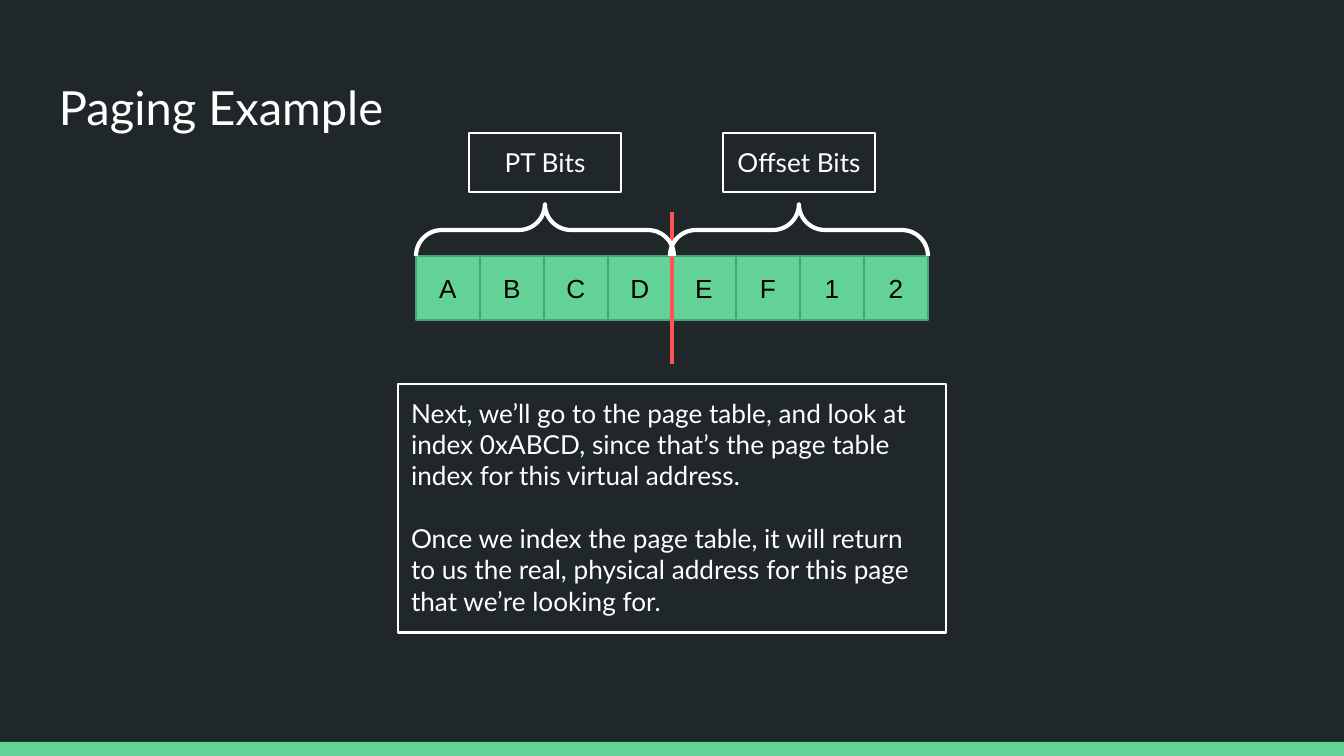
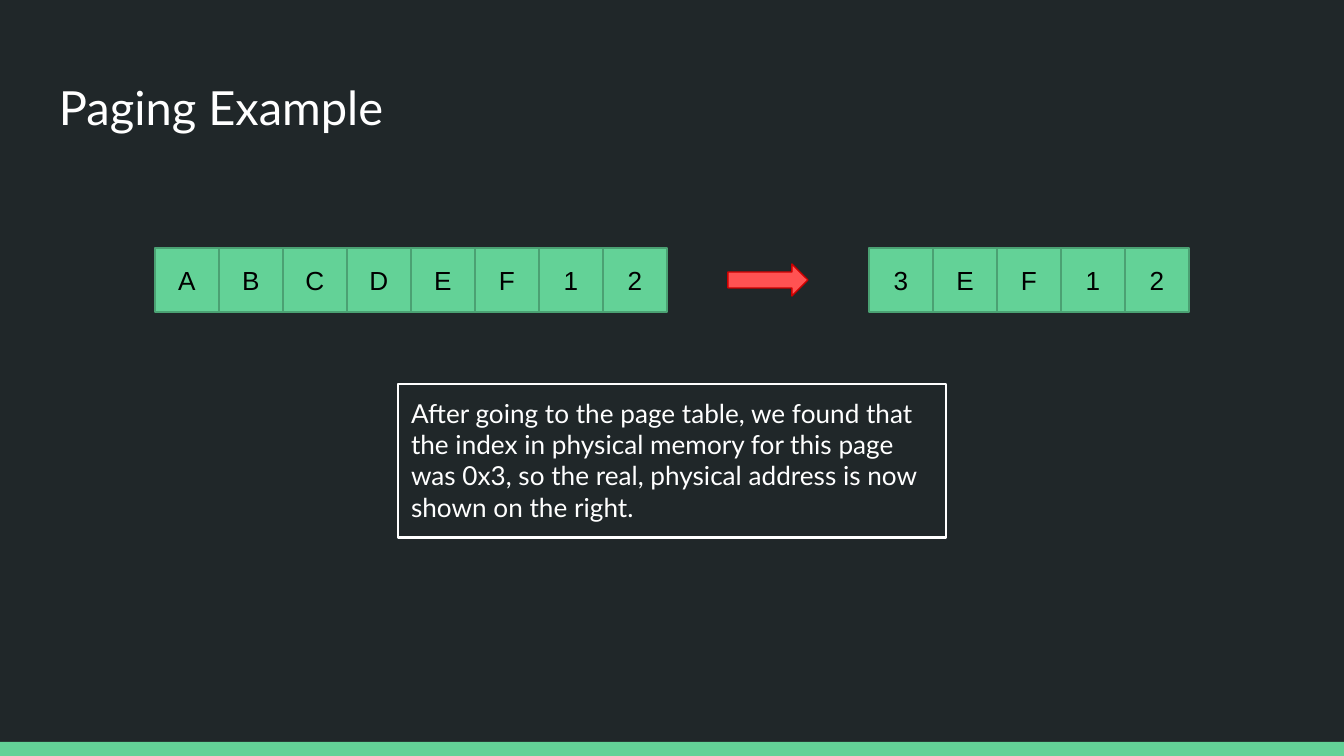
import pptx
import pptx.util
import pptx.dml.color
import pptx.enum.shapes
import pptx.enum.text
import pptx.oxml.ns
import lxml.etree

PX = 914400 / 134.4
WIDE, HIGH = 1344, 756
CELL = 64
PAD = 13
KIND = pptx.enum.shapes.MSO_SHAPE
ALIGN = pptx.enum.text.PP_ALIGN
MID = pptx.enum.text.MSO_ANCHOR.MIDDLE
TOP = pptx.enum.text.MSO_ANCHOR.TOP
HUES = {
    "back": "202729", "green": "63D297", "edge": "4BA173",
    "white": "FFFFFF", "black": "000000", "red": "FF5252", "dark": "CC0000",
}

TITLE = "Paging Example"
SLIDES = [
    {
        "note": [
            "Next, we’ll go to the page table, and look at index 0xABCD, "
            "since that’s the page table index for this virtual address.",
            "Once we index the page table, it will return to us the real, "
            "physical address for this page that we’re looking for.",
        ],
        "tall": 249,
        "rows": [("ABCDEF12", 416, 256)],
        "split": (672, 212, 364),
        "parts": [("Offset Bits", 799), ("PT Bits", 545)],
    },
    {
        "note": [
            "After going to the page table, we found that the index in "
            "physical memory for this page was 0x3, so the real, physical "
            "address is now shown on the right.",
        ],
        "tall": 154,
        "rows": [("ABCDEF12", 155, 248), ("3EF12", 869, 248)],
        "arrow": (728, 264, 80, 32),
    },
]


def emu(*vals):
    return [round(v * PX) for v in vals]


def hue(name):
    return pptx.dml.color.RGBColor.from_string(HUES[name])


def put_shape(slide, kind, box, fill=None, line=None, thick=0.75):
    shape = slide.shapes.add_shape(kind, *emu(*box))
    shape.shadow.inherit = False
    if fill:
        shape.fill.solid()
        shape.fill.fore_color.rgb = hue(fill)
    else:
        shape.fill.background()
    if line:
        shape.line.color.rgb = hue(line)
        shape.line.width = pptx.util.Pt(thick)
    else:
        shape.line.fill.background()
    return shape


def put_text(shape, lines, size=14, font="Lato", color="white",
             align=ALIGN.LEFT, anchor=TOP):
    frame = shape.text_frame
    frame.word_wrap = True
    frame.vertical_anchor = anchor
    pad = emu(PAD)[0]
    frame.margin_left = frame.margin_right = pad
    frame.margin_top = frame.margin_bottom = pad
    for i, line in enumerate(lines):
        para = frame.add_paragraph() if i else frame.paragraphs[0]
        para.text = line
        para.alignment = align
        if i:
            para.space_before = pptx.util.Pt(size * 1.2)
        para.font.size = pptx.util.Pt(size)
        para.font.name = font
        para.font.color.rgb = hue(color)


def put_row(slide, text, left, top):
    for i, char in enumerate(text):
        cell = put_shape(slide, KIND.RECTANGLE,
                         (left + i * CELL, top, CELL, CELL), "green", "edge")
        put_text(cell, [char], font="Arial", color="black",
                 align=ALIGN.CENTER, anchor=MID)


def put_split(slide, x, top, end):
    line = slide.shapes.add_connector(
        pptx.enum.shapes.MSO_CONNECTOR.STRAIGHT, *emu(x, top, x, end))
    line.line.color.rgb = hue("red")
    line.line.width = pptx.util.Pt(2.25)
    lxml.etree.SubElement(line._element.spPr,
                          pptx.oxml.ns.qn("a:effectLst"))


def put_part(slide, text, mid):
    deep, span = 52, 258
    brace = put_shape(slide, KIND.RIGHT_BRACE,
                      (mid - deep / 2, 230 - span / 2, deep, span),
                      line="white", thick=2.25)
    brace.rotation = 270
    brace.adjustments[0] = brace.adjustments[1] = 0.5
    label = put_shape(slide, KIND.RECTANGLE, (mid - 76, 133, 152, 59),
                      line="white", thick=1.5)
    put_text(label, [text], align=ALIGN.CENTER)


def put_slide(deck, data):
    slide = deck.slides.add_slide(deck.slide_layouts[6])
    put_shape(slide, KIND.RECTANGLE, (0, HIGH - 14, WIDE, 14), "green")
    title = slide.shapes.add_textbox(*emu(46, 66, 1253, 85))
    put_text(title, [TITLE], size=25.2)
    note = put_shape(slide, KIND.RECTANGLE, (398, 384, 548, data["tall"]),
                     line="white", thick=1.5)
    put_text(note, data["note"])
    for row in data["rows"]:
        put_row(slide, *row)
    if "split" in data:
        put_split(slide, *data["split"])
    for part in data.get("parts", []):
        put_part(slide, *part)
    if "arrow" in data:
        put_shape(slide, KIND.RIGHT_ARROW, data["arrow"], "red", "dark")


def main():
    deck = pptx.Presentation()
    deck.slide_width, deck.slide_height = emu(WIDE, HIGH)
    back = deck.slide_master.background.fill
    back.solid()
    back.fore_color.rgb = hue("back")
    for data in SLIDES:
        put_slide(deck, data)
    deck.save("out.pptx")


if __name__ == "__main__":
    main()
